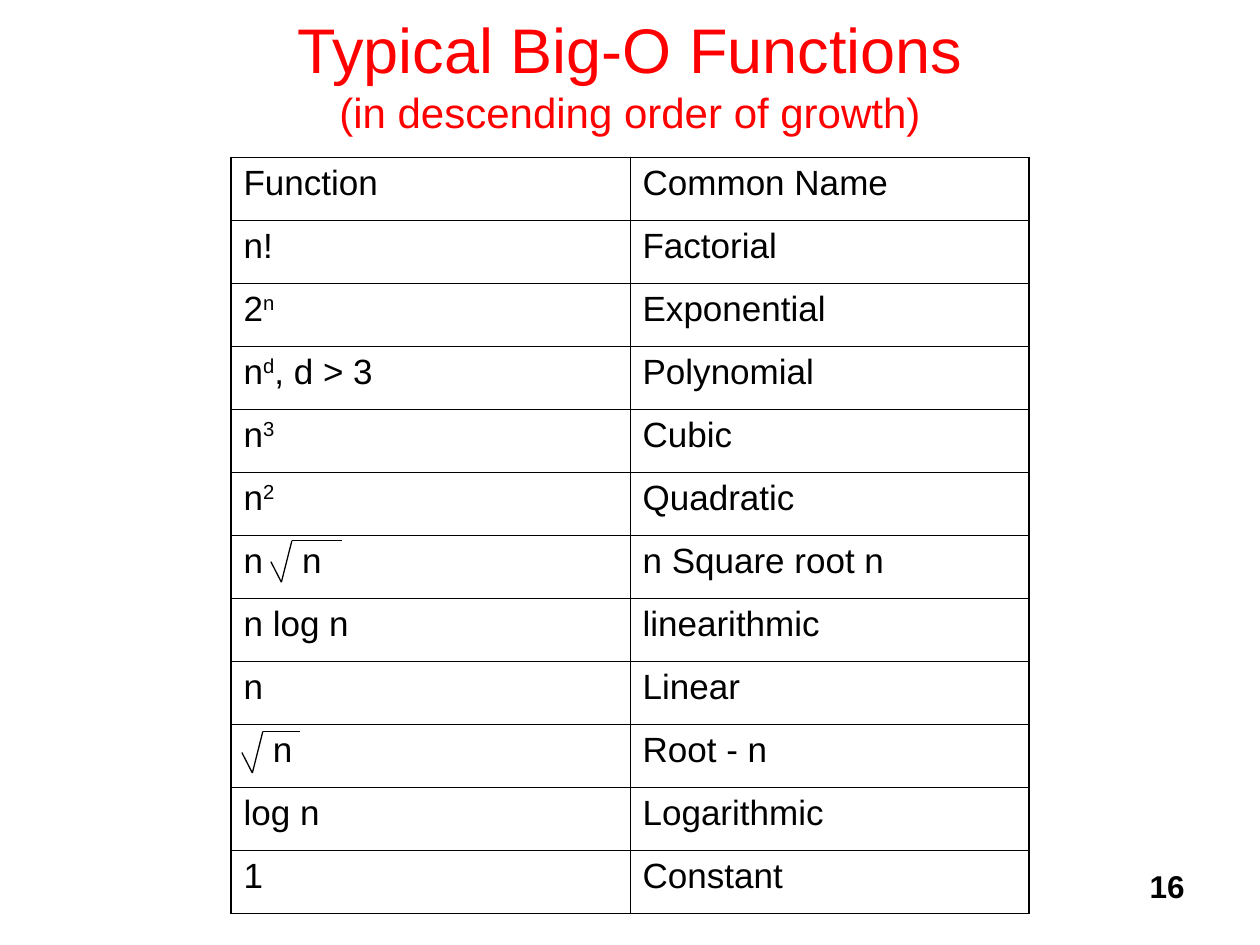
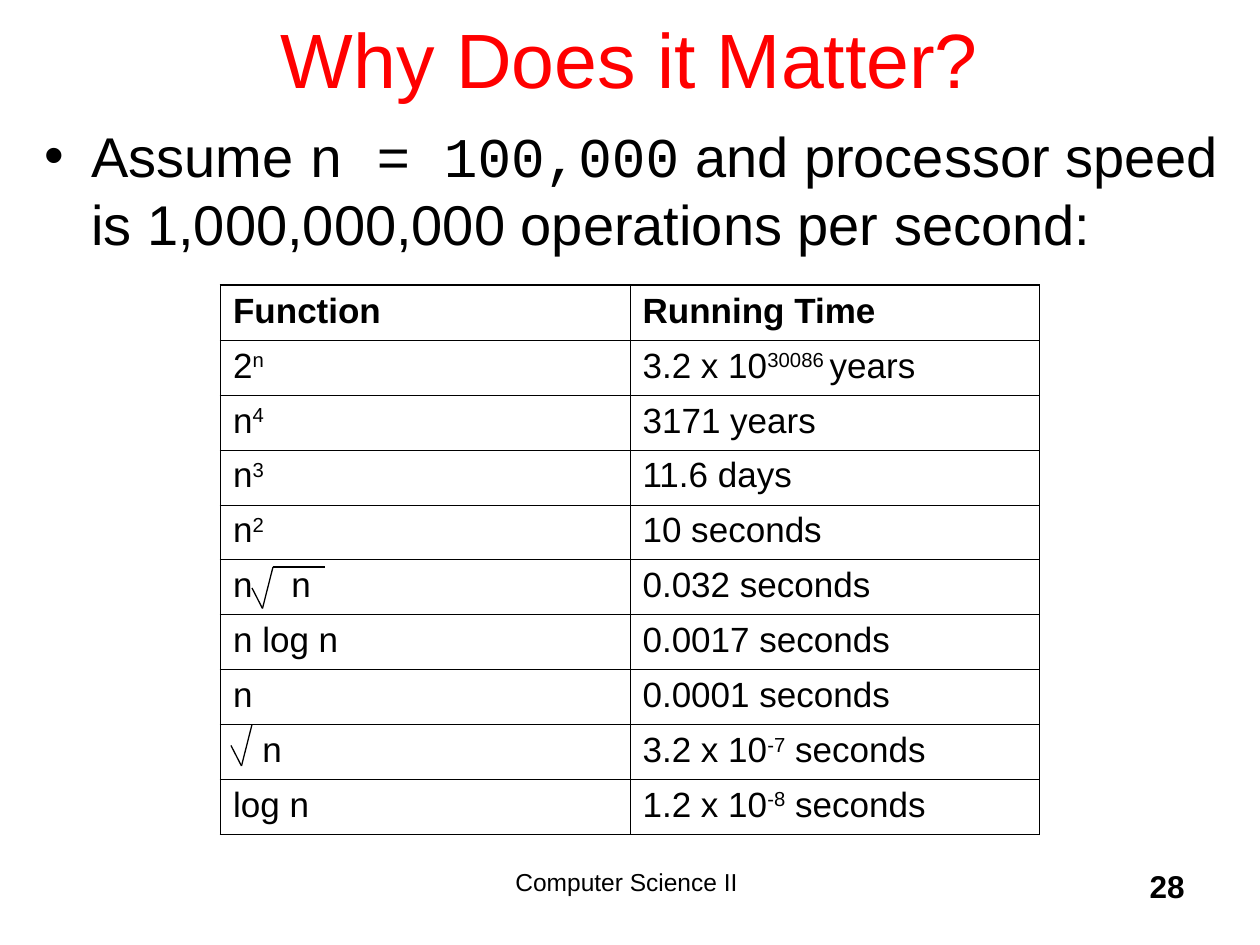
from dataclasses import dataclass
from lxml.etree import SubElement
from pptx import Presentation
from pptx.dml.color import RGBColor
from pptx.enum.shapes import MSO_CONNECTOR
from pptx.enum.text import MSO_ANCHOR, MSO_AUTO_SIZE, PP_ALIGN
from pptx.oxml.ns import qn
from pptx.util import Pt


@dataclass(frozen=True)
class Theme:
    red: str = "FF0000"
    black: str = "000000"
    sans: str = "Arial"
    mono: str = "Courier New"
    body: int = 32
    cell: int = 20
    page: int = 18
    foot: int = 14
    frame: float = 1.08
    grid: float = 0.45
    root: float = 0.75


THEME = Theme()

# Text between carets is raised; √ leaves room for a drawn root sign.
# Roots are (left, top of the tick, length of the bar).
GROWTH = {
    "title": [("Typical Big-O Functions", 36), ("(in descending order of growth)", 24)],
    "title_top": -3, "page": "16", "foot": None, "body": [],
    "left": 132, "top": 90, "width": 228, "height": 36, "bold": False,
    "rows": [
        ("Function", "Common Name"),
        ("n!", "Factorial"),
        ("2^n^", "Exponential"),
        ("n^d^, d > 3", "Polynomial"),
        ("n^3^", "Cubic"),
        ("n^2^", "Quadratic"),
        ("n√n", "n Square root n"),
        ("n log n", "linearithmic"),
        ("n", "Linear"),
        ("√n", "Root - n"),
        ("log n", "Logarithmic"),
        ("1", "Constant"),
    ],
    "roots": [(154.8, 321, 28.8), (138.2, 430, 21.4)],
}
TIMES = {
    "title": [("Why Does it Matter?", 44)],
    "title_top": -12, "page": "28", "foot": "Computer Science II ",
    "body": [("Assume ", THEME.sans), ("n = 100,000", THEME.mono),
             (" and processor speed is 1,000,000,000 operations per second:", THEME.sans)],
    "left": 126, "top": 163, "width": 234, "height": 31.4, "bold": True,
    "rows": [
        ("Function", "Running Time"),
        ("2^n^", "3.2 x 10^30086 ^years"),
        ("n^4^", "3171 years"),
        ("n^3^", "11.6 days"),
        ("n^2^", "10 seconds"),
        ("n√n", "0.032 seconds"),
        ("n log n", "0.0017 seconds"),
        ("n", "0.0001 seconds"),
        ("√n", "3.2 x 10^-7^ seconds"),
        ("log n", "1.2 x 10^-8^ seconds"),
    ],
    "roots": [(144, 336, 29.6), (132, 426, 30.6)],
}


def add_run(para, text, size, color=THEME.black, face=THEME.sans, bold=False):
    run = para.add_run()
    run.text = text
    font = run.font
    font.name, font.size, font.bold = face, Pt(size), bold
    font.color.rgb = RGBColor.from_string(color)
    return run


def place(shape, left, top, width, height):
    shape.left, shape.top = Pt(left), Pt(top)
    shape.width, shape.height = Pt(width), Pt(height)


def add_label(slide, text, left, width, align, size, bold=False):
    box = slide.shapes.add_textbox(Pt(left), Pt(492), Pt(width), Pt(36))
    box.text_frame.word_wrap = True
    para = box.text_frame.paragraphs[0]
    para.alignment = align
    add_run(para, text, size, bold=bold)


def add_title(slide, lines, top):
    title = slide.shapes.title
    place(title, 54, top, 612, 90)
    frame = title.text_frame
    frame.auto_size = MSO_AUTO_SIZE.NONE
    frame.vertical_anchor = MSO_ANCHOR.MIDDLE
    para = frame.paragraphs[0]
    para.alignment = PP_ALIGN.CENTER
    for i, (text, size) in enumerate(lines):
        if i:
            para.add_line_break()
        add_run(para, text, size, THEME.red)


def add_body(slide, parts):
    body = slide.placeholders[1]
    place(body, 18, 66, 690, 432)
    frame = body.text_frame
    frame.auto_size = MSO_AUTO_SIZE.NONE
    para = frame.paragraphs[0]
    para.space_before = Pt(8)
    for text, face in parts:
        add_run(para, text, THEME.body, face=face)


def set_root_gap(para, lead):
    """Indent or tab the text so that a root sign fits before it."""
    props = para._p.get_or_add_pPr()
    if lead:
        tabs = SubElement(props, qn("a:tabLst"))
        SubElement(tabs, qn("a:tab"), pos=str(Pt(33.36)), algn="l")
    else:
        props.set("marL", str(Pt(16.68)))


def fill_cell(cell, text, bold):
    para = cell.text_frame.paragraphs[0]
    para.space_before = Pt(5)
    if "√" in text:
        lead = text.split("√")[0]
        set_root_gap(para, lead)
        text = text.replace("√", "\t" if lead else "")
    for i, part in enumerate(text.split("^")):
        if part:
            run = add_run(para, part, THEME.cell, bold=bold)
            if i % 2:
                run._r.get_or_add_rPr().set("baseline", "30000")


def set_edges(cell, outer):
    """Draw the four borders; outer holds the sides on the table's frame."""
    cell.fill.background()
    props = cell._tc.get_or_add_tcPr()
    for i, side in enumerate("LRTB"):
        wide = THEME.frame if side in outer else THEME.grid
        line = SubElement(props, qn("a:ln" + side), w=str(Pt(wide)))
        fill = SubElement(line, qn("a:solidFill"))
        SubElement(fill, qn("a:srgbClr"), val=THEME.black)
        props.insert(i, line)


def add_grid(slide, data):
    rows = data["rows"]
    count, span = len(rows), len(rows[0])
    table = slide.shapes.add_table(
        count, span, Pt(data["left"]), Pt(data["top"]),
        Pt(span * data["width"]), Pt(count * data["height"])).table
    table.first_row = table.horz_banding = False
    for col in table.columns:
        col.width = Pt(data["width"])
    for r, row in enumerate(rows):
        table.rows[r].height = Pt(data["height"])
        for c, text in enumerate(row):
            cell = table.cell(r, c)
            fill_cell(cell, text, data["bold"] and r == 0)
            ends = {"L": c == 0, "R": c == span - 1, "T": r == 0, "B": r == count - 1}
            set_edges(cell, [side for side, end in ends.items() if end])


def add_root(slide, left, top, bar):
    points = [(left, top), (left + 6, top + 11.7),
              (left + 12, top - 12), (left + 12 + bar, top - 12)]
    for start, end in zip(points, points[1:]):
        line = slide.shapes.add_connector(
            MSO_CONNECTOR.STRAIGHT, *(Pt(v) for v in start + end))
        line.line.width = Pt(THEME.root)
        line.line.color.rgb = RGBColor.from_string(THEME.black)
        SubElement(line._element.spPr, qn("a:effectLst"))


def add_page(deck, data):
    layout = deck.slide_layouts[1 if data["body"] else 5]
    slide = deck.slides.add_slide(layout)
    if data["foot"]:
        add_label(slide, data["foot"], 222, 276, PP_ALIGN.CENTER, THEME.foot)
    add_label(slide, data["page"], 534, 150, PP_ALIGN.RIGHT, THEME.page, True)
    add_title(slide, data["title"], data["title_top"])
    if data["body"]:
        add_body(slide, data["body"])
    add_grid(slide, data)
    for root in data["roots"]:
        add_root(slide, *root)


def main():
    deck = Presentation()
    deck.slide_width, deck.slide_height = Pt(720), Pt(540)
    for data in (GROWTH, TIMES):
        add_page(deck, data)
    deck.save("out.pptx")


if __name__ == "__main__":
    main()
